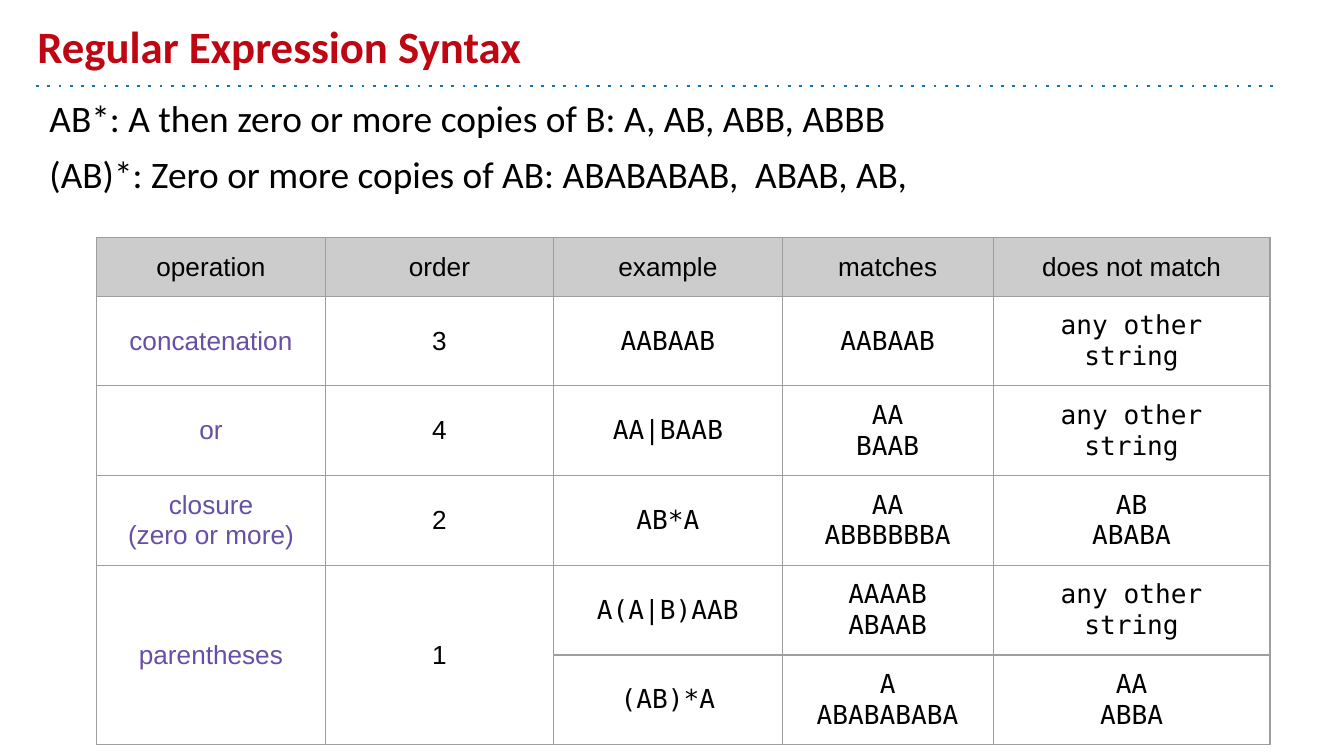
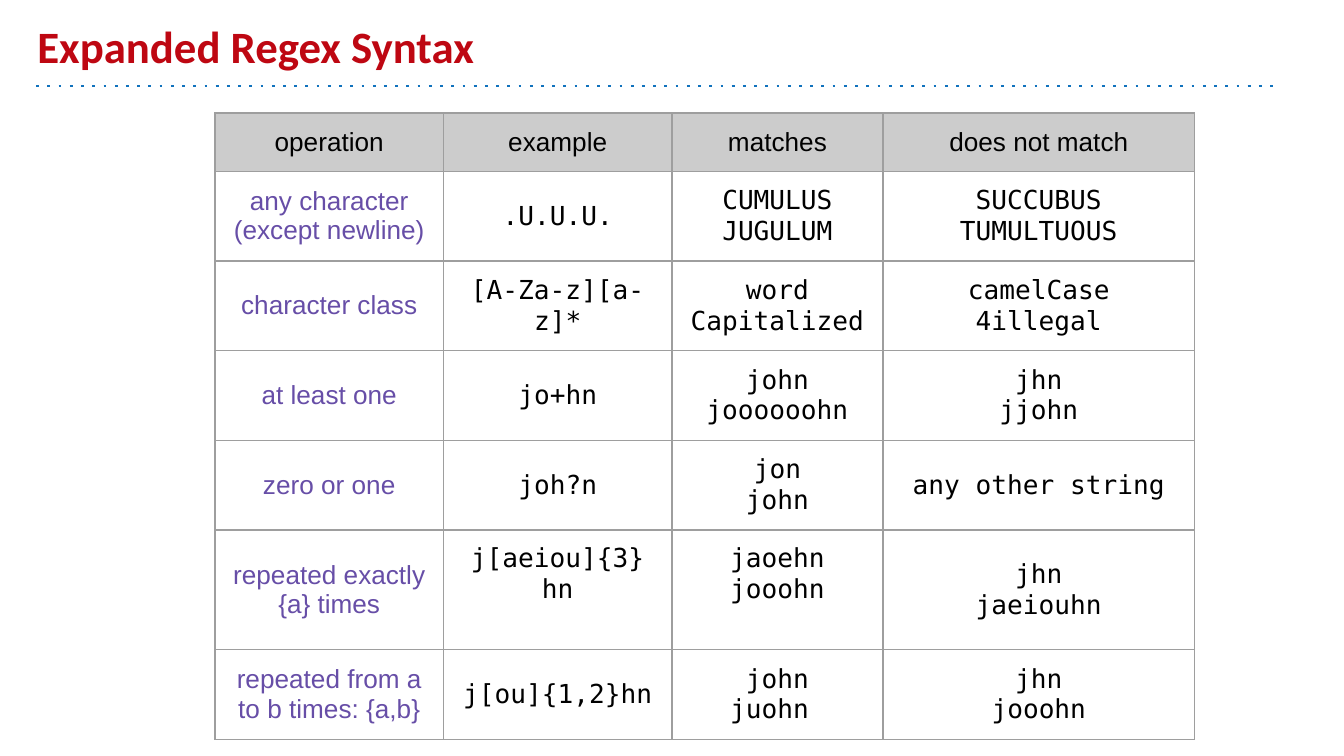
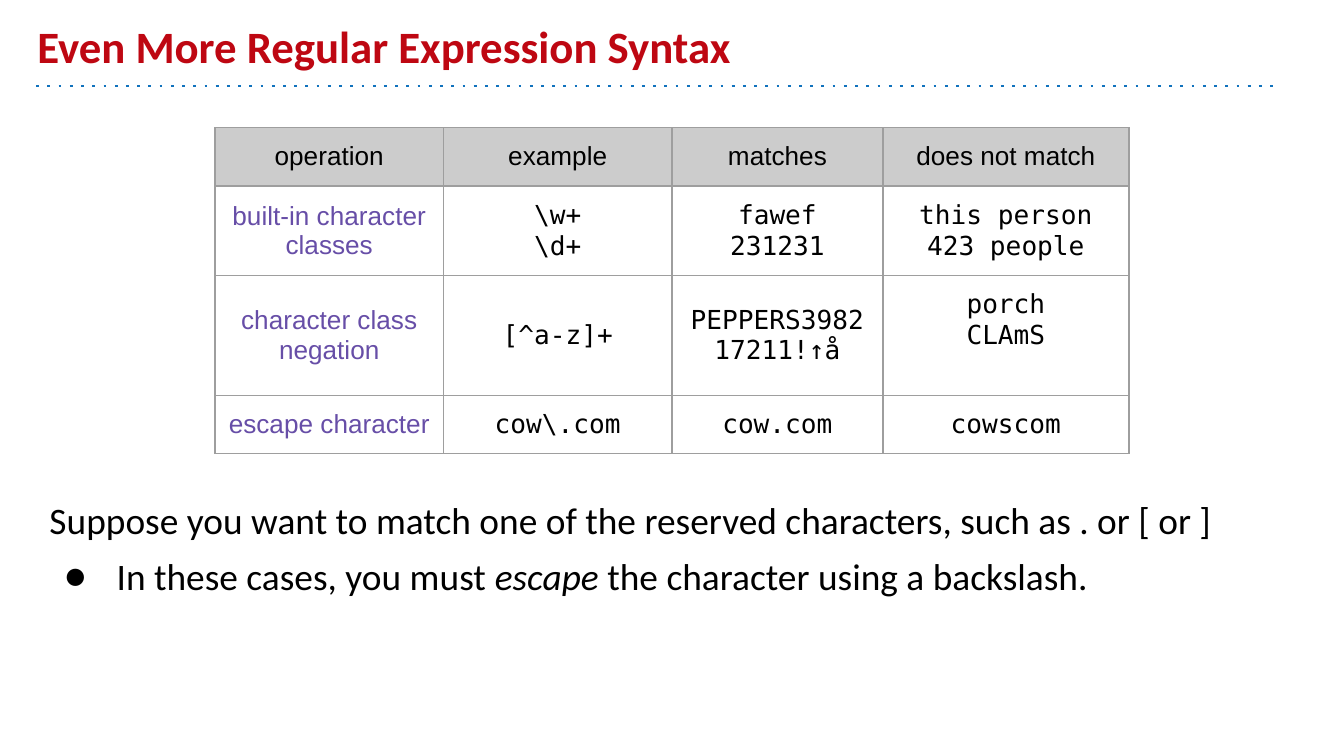
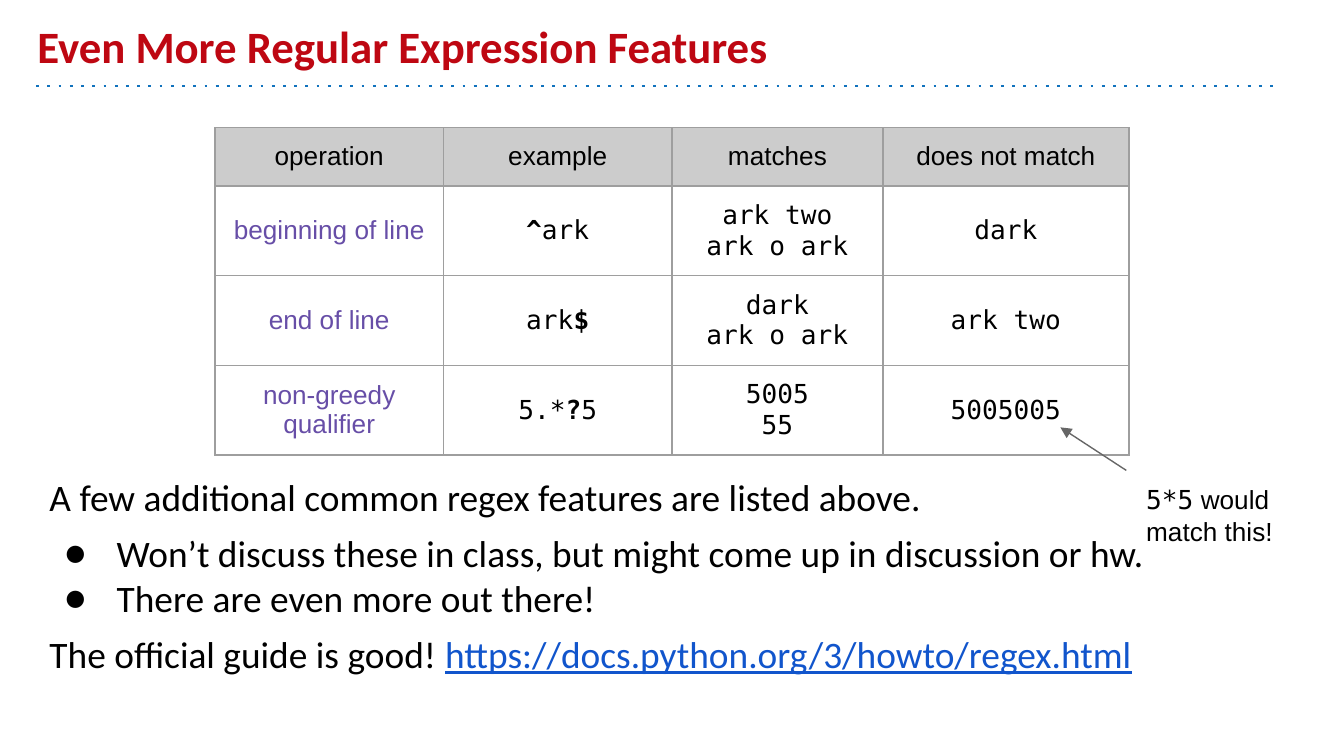
from dataclasses import dataclass

from lxml import etree
from pptx import Presentation
from pptx.dml.color import RGBColor
from pptx.enum.shapes import MSO_CONNECTOR
from pptx.enum.text import MSO_ANCHOR, PP_ALIGN
from pptx.oxml.ns import qn
from pptx.util import Inches, Pt

STRAIGHT = MSO_CONNECTOR.STRAIGHT
TOP = MSO_ANCHOR.TOP
MIDDLE = MSO_ANCHOR.MIDDLE
BOTTOM = MSO_ANCHOR.BOTTOM
CENTER = PP_ALIGN.CENTER
NO_STYLE = "{2D5ABB26-0587-4C30-8999-92F81FD0307C}"


@dataclass(frozen=True)
class Theme:
    red: str = "BE0712"
    blue: str = "1072BD"
    black: str = "000000"
    white: str = "FFFFFF"
    purple: str = "674EA7"
    link: str = "1155CC"
    head: str = "CCCCCC"
    grid: str = "9E9E9E"
    arrow: str = "666666"
    text: str = "Calibri"
    sans: str = "Arial"
    mono: str = "DejaVu Sans Mono"
    large: int = 24
    body: int = 20
    small: int = 14
    thin: float = 0.75
    rule: float = 1.5
    inset: float = 0.1


T = Theme()
TITLE = dict(font=T.text, size=T.large, color=T.red, bold=True)
BODY = dict(font=T.text, size=T.body, color=T.black)
PLAIN = dict(font=T.sans, size=T.small, color=T.black)
LABEL = dict(PLAIN, color=T.purple)
CODE = dict(PLAIN, font=T.mono)
LOOKS = {"operation": LABEL, "order": PLAIN}
BOLD = dict(bold=True)


def add_node(parent, tag, **attrs):
    return etree.SubElement(parent, qn(tag), **attrs)


def style(run, font, size, color, bold=False, italic=False, under=False):
    face = run.font
    face.name = font
    face.size = Pt(size)
    face.color.rgb = RGBColor.from_string(color)
    face.bold = bold
    face.italic = italic
    face.underline = under


def write(para, parts, look):
    parts = [parts] if isinstance(parts, str) else parts
    pairs = [(part, {}) if isinstance(part, str) else part for part in parts]
    para.text = pairs[0][0]
    for words, _ in pairs[1:]:
        para.add_run().text = words
    for run, (_, extra) in zip(para.runs, pairs):
        style(run, **{**look, **extra})


def add_box(slide, left, top, width, height, anchor=TOP):
    box = slide.shapes.add_textbox(
        Inches(left), Inches(top), Inches(width), Inches(height))
    frame = box.text_frame
    frame.word_wrap = True
    frame.vertical_anchor = anchor
    frame.margin_left = frame.margin_right = Inches(T.inset)
    frame.margin_top = frame.margin_bottom = Inches(T.inset)
    return frame


def add_line(slide, start, end, color, width):
    line = slide.shapes.add_connector(
        STRAIGHT, *(Inches(value) for value in (*start, *end)))
    line.line.color.rgb = RGBColor.from_string(color)
    line.line.width = Pt(width)
    props = line._element.spPr
    add_node(props, "a:effectLst")
    return props.find(qn("a:ln"))


def add_title(slide, title):
    stroke = add_line(slide, (0.27, 0.64), (9.5, 0.64), T.blue, T.rule)
    add_node(stroke, "a:prstDash", val="dot")
    frame = add_box(slide, 0.18, 0.1, 9, 0.54, BOTTOM)
    write(frame.paragraphs[0], title, TITLE)


def add_bullet(para):
    props = para._p.get_or_add_pPr()
    props.set("marL", str(Inches(0.5)))
    props.set("indent", str(Inches(-0.39)))
    add_node(add_node(props, "a:buClr"), "a:srgbClr", val=T.black)
    add_node(props, "a:buFont", typeface=T.text)
    add_node(props, "a:buChar", char="●")


def add_body(slide, top, height, items):
    frame = add_box(slide, 0.27, top, 9.23, height)
    after = False
    for index, (parts, bullet) in enumerate(items):
        para = frame.add_paragraph() if index else frame.paragraphs[0]
        write(para, parts, BODY)
        para.space_before = Pt(0 if bullet and after else 6)
        if bullet:
            add_bullet(para)
        after = bullet


def add_edges(cell):
    props = cell._tc.get_or_add_tcPr()
    for side in "LRTB":
        edge = add_node(props, "a:ln" + side, w=str(Pt(T.thin)))
        add_node(add_node(edge, "a:solidFill"), "a:srgbClr", val=T.grid)


def fill_cell(cell, lines, look, back, anchor):
    add_edges(cell)
    cell.fill.solid()
    cell.fill.fore_color.rgb = RGBColor.from_string(back)
    cell.vertical_anchor = anchor
    cell.margin_left = cell.margin_right = Inches(T.inset)
    cell.margin_top = cell.margin_bottom = Inches(T.inset)
    if lines is None:
        return
    lines = lines.split("\n") if isinstance(lines, str) else [lines]
    frame = cell.text_frame
    for index, parts in enumerate(lines):
        para = frame.add_paragraph() if index else frame.paragraphs[0]
        write(para, parts, look)
        para.alignment = CENTER


def add_grid(slide, left, top, widths, rows, tall=None, high=()):
    low = 0.42
    table = slide.shapes.add_table(
        len(rows), len(widths), Inches(left), Inches(top),
        Inches(sum(widths)), Inches(low * len(rows))).table
    table.first_row = table.horz_banding = False
    table._tbl.tblPr.find(qn("a:tableStyleId")).text = NO_STYLE
    for column, width in zip(table.columns, widths):
        column.width = Inches(width)
    heads = rows[0]
    for r, row in enumerate(rows):
        table.rows[r].height = Inches(0.89 if r == tall else low)
        for c, lines in enumerate(row):
            look = LOOKS.get(heads[c], CODE) if r else PLAIN
            back = T.white if r else T.head
            anchor = TOP if r == tall and c in high else MIDDLE
            fill_cell(table.cell(r, c), lines, look, back, anchor)
    return table


def add_note(slide, left, top):
    stroke = add_line(slide, (left - 0.05, top), (left - 0.54, top - 0.32),
                      T.arrow, T.thin)
    add_node(stroke, "a:tailEnd", type="triangle")
    frame = add_box(slide, left, top, 1.34, 0.37)
    write(frame.paragraphs[0], [("5*5", dict(font=T.mono)), " would match this!"],
          PLAIN)


def make_basic(slide):
    add_title(slide, "Regular Expression Syntax")
    add_body(slide, 0.61, 1, [
        ("AB*: A then zero or more copies of B: A, AB, ABB, ABBB", False),
        ("(AB)*: Zero or more copies of AB: ABABABAB,  ABAB, AB,", False),
    ])
    other = "any other string"
    table = add_grid(slide, 0.72, 1.77, [1.7, 1.7, 1.7, 1.57, 2.06], [
        ["operation", "order", "example", "matches", "does not match"],
        ["concatenation", "3", "AABAAB", "AABAAB", other],
        ["or", "4", "AA|BAAB", "AA\nBAAB", other],
        ["closure\n(zero or more)", "2", "AB*A", "AA\nABBBBBBA", "AB\nABABA"],
        ["parentheses", "1", "A(A|B)AAB", "AAAAB\nABAAB", other],
        [None, None, "(AB)*A", "A\nABABABABA", "AA\nABBA"],
    ])
    for c in range(2):
        table.cell(4, c).merge(table.cell(5, c))


HEADS = ["operation", "example", "matches", "does not match"]
WIDTHS = [1.7, 1.7, 1.57]


def make_more(slide):
    add_title(slide, "Expanded Regex Syntax")
    add_grid(slide, 1.6, 0.84, WIDTHS + [2.32], [
        HEADS,
        ["any character (except newline)", ".U.U.U.",
         "CUMULUS\nJUGULUM", "SUCCUBUS\nTUMULTUOUS"],
        ["character class", "[A-Za-z][a-z]*",
         "word\nCapitalized", "camelCase\n4illegal"],
        ["at least one", "jo+hn", "john\njoooooohn", "jhn\njjohn"],
        ["zero or one", "joh?n", "jon\njohn", "any other string"],
        ["repeated exactly {a} times", "j[aeiou]{3}hn",
         "jaoehn\njooohn", "jhn\njaeiouhn"],
        ["repeated from a to b times: {a,b}", "j[ou]{1,2}hn",
         "john\njuohn ", "jhn\njooohn"],
    ], tall=5, high=(1, 2))


def make_escape(slide):
    add_title(slide, "Even More Regular Expression Syntax")
    add_grid(slide, 1.6, 0.95, WIDTHS + [1.83], [
        HEADS,
        ["built-in character classes", "\\w+\n\\d+",
         "fawef\n231231", "this person\n423 people"],
        ["character class negation", "[^a-z]+",
         "PEPPERS3982\n17211!↑å", "porch\nCLAmS"],
        ["escape character", "cow\\.com", "cow.com", "cowscom"],
    ], tall=2, high=(3,))
    add_body(slide, 3.6, 1.69, [
        ("Suppose you want to match one of the reserved characters, "
         "such as . or [ or ]", False),
        (["In these cases, you must ", ("escape", dict(italic=True)),
          " the character using a backslash."], True),
    ])


def make_extra(slide):
    add_title(slide, "Even More Regular Expression Features")
    add_body(slide, 3.43, 1.81, [
        ("A few additional common regex features are listed above.", False),
        ("Won’t discuss these in class, but might come up in discussion or hw.",
         True),
        ("There are even more out there!", True),
        (["The official guide is good! ",
          ("https://docs.python.org/3/howto/regex.html",
           dict(color=T.link, under=True))], False),
    ])
    add_grid(slide, 1.6, 0.95, WIDTHS + [1.83], [
        HEADS,
        ["beginning of line", [("^", BOLD), "ark"],
         "ark two\nark o ark", "dark"],
        ["end of line", ["ark", ("$", BOLD)], "dark\nark o ark", "ark two"],
        ["non-greedy qualifier", ["5.*", ("?", BOLD), "5"],
         "5005\n55", "5005005"],
    ])
    add_note(slide, 8.43, 3.5)


deck = Presentation()
deck.slide_width = Inches(10)
deck.slide_height = deck.slide_width * 9 // 16
blank = deck.slide_layouts[6]
for make in (make_basic, make_more, make_escape, make_extra):
    make(deck.slides.add_slide(blank))
deck.save("out.pptx")
